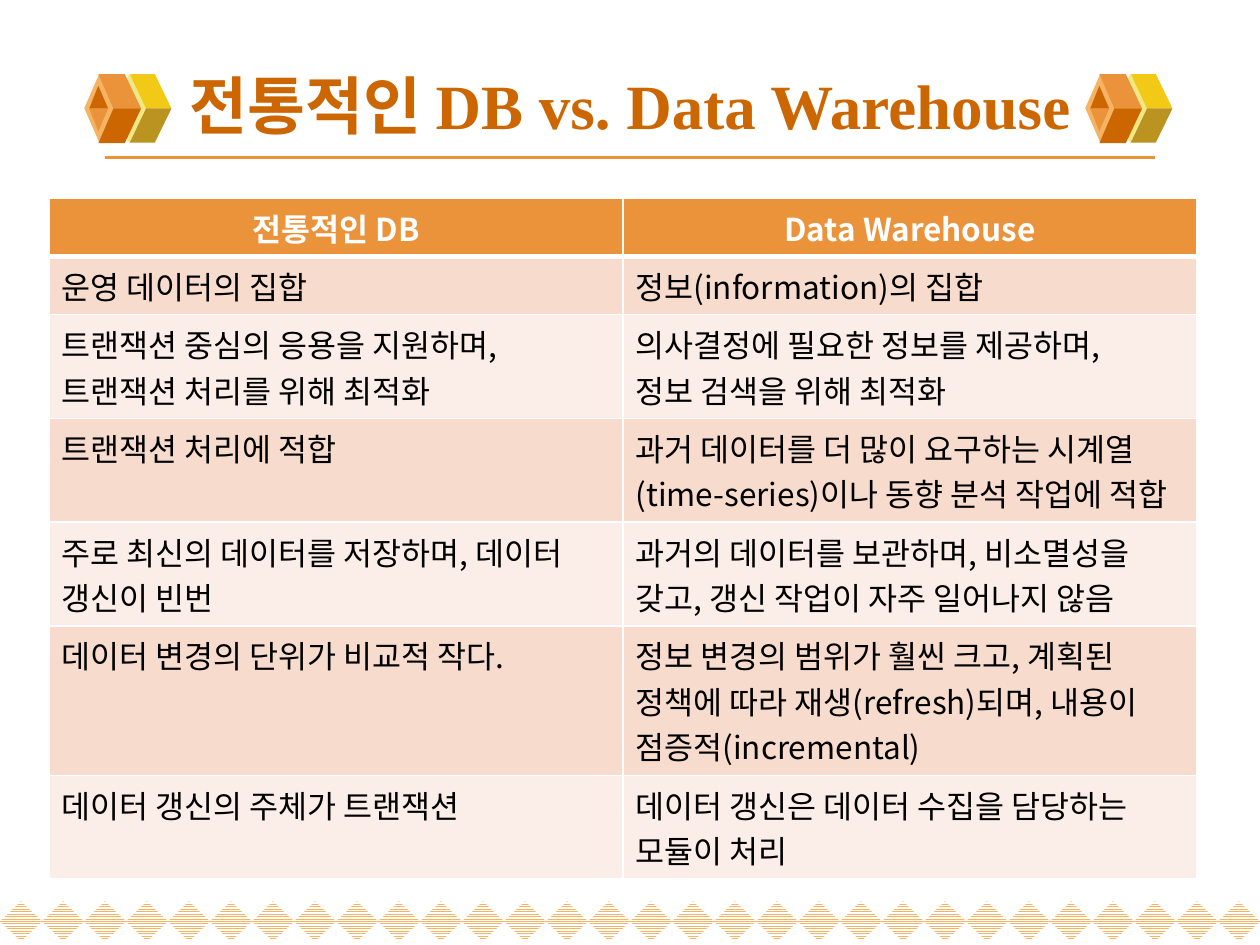
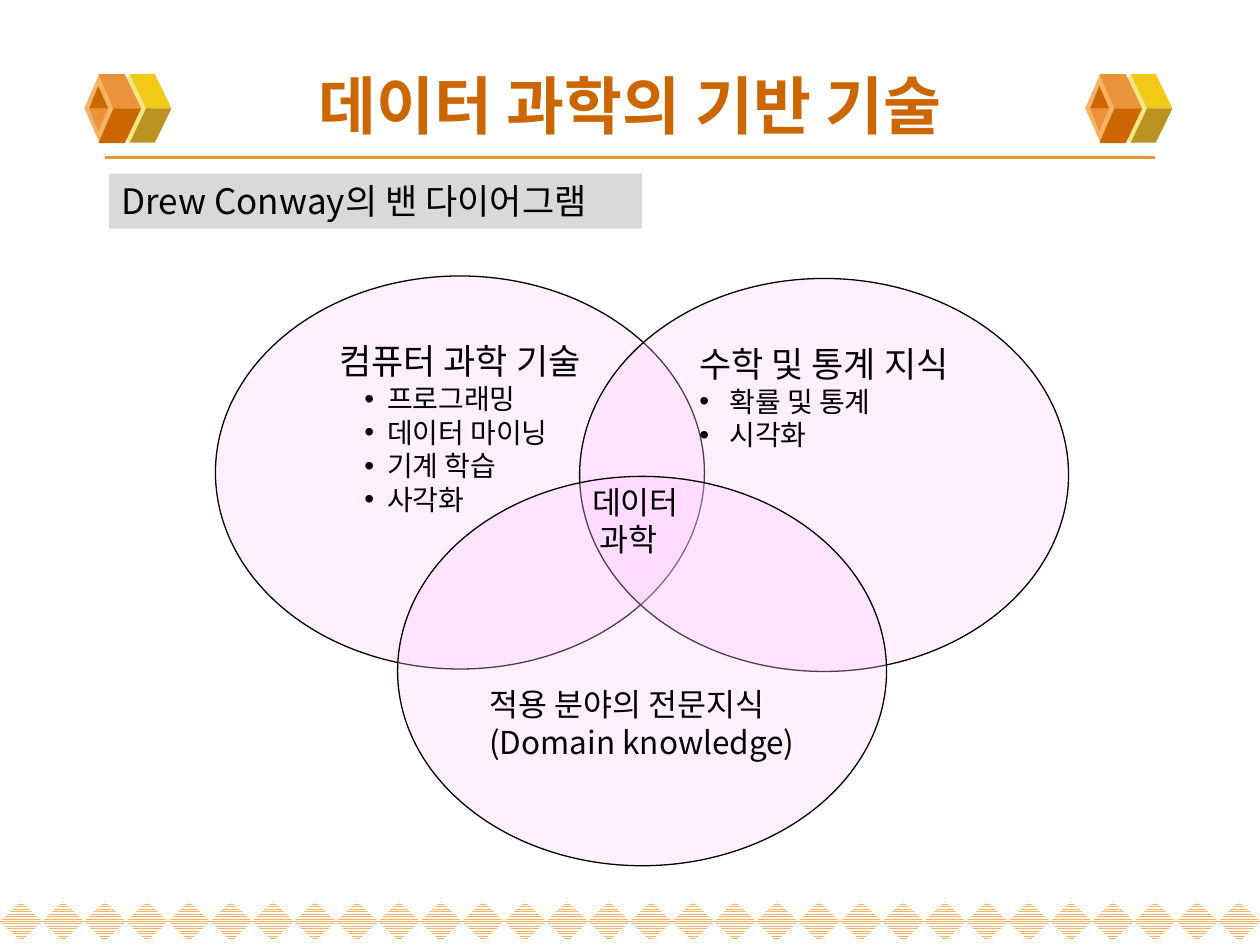
from lxml import etree
from pptx import Presentation
from pptx import util as u
from pptx.dml import color
from pptx.enum import dml, shapes, text
from pptx.oxml import ns

Pt = u.Pt
SANS, SERIF = "Noto Sans CJK KR", "Times New Roman"
ORANGE, DARK, LIGHT, WHITE = "EB933B", "CC6600", "F5B363", "FFFFFF"


def paint(fmt, value):
    fmt.solid()
    fmt.fore_color.rgb = color.RGBColor.from_string(value)


def write(tf, items, align=text.PP_ALIGN.LEFT, **frame):
    for name, value in frame.items():
        setattr(tf, name, value)
    for i, (words, fmt) in enumerate(items):
        p = tf.paragraphs[0] if i == 0 else tf.add_paragraph()
        p.alignment = align
        if "hang" in fmt:
            left, hang = fmt["hang"]
            pPr = p._p.get_or_add_pPr()
            pPr.set("marL", str(Pt(left)))
            pPr.set("indent", str(-Pt(hang)))
            etree.SubElement(pPr, ns.qn("a:buFont")).set("typeface", "Arial")
            etree.SubElement(pPr, ns.qn("a:buChar")).set("char", "•")
        r = p.add_run()
        r.text = words
        values = {"size": Pt(fmt.get("size", 18)), "bold": fmt.get("bold", False),
                  "name": fmt.get("font", SANS)}
        for name, value in values.items():
            setattr(r.font, name, value)
        paint(r.font.fill, fmt.get("color", "000000"))
        rPr = r._r.get_or_add_rPr()
        rPr.set("kern", "0")
        ea = etree.Element(ns.qn("a:ea"))
        ea.set("typeface", SANS)
        rPr.find(ns.qn("a:latin")).addnext(ea)


prs = Presentation()
prs.slide_width, prs.slide_height = Pt(720), Pt(540)

diamonds = [(62, 42.3, 24, 39.5, "F1E785"), (48.2, 42, 17.3, 39.6, LIGHT)]
facets = [
    ([(83.5, 62), (98, 62), (88.5, 42.3), (74.2, 42.3)], "F3C917"),
    ([(83.5, 62), (98, 62), (88.5, 81.5), (74.2, 81.5)], "BB9321"),
    ([(64.8, 62), (80.6, 62), (71.3, 42.3), (56.2, 42.3)], ORANGE),
    ([(64.8, 62), (80.6, 62), (71.3, 81.8), (56.2, 81.8)], DARK),
    ([(56.2, 49), (51, 62), (61.8, 62)], DARK),
    ([(56.2, 75), (51, 62), (61.8, 62)], ORANGE),
]
slides = []
for title in ["전통적인 DB vs. Data Warehouse", "데이터 과학의 기반 기술"]:
    s = prs.slides.add_slide(prs.slide_layouts[6])
    slides.append(s)
    for i in range(30):
        sp = s.shapes.add_shape(shapes.MSO_SHAPE.DIAMOND, Pt(24 * i), Pt(515), Pt(24), Pt(23))
        sp.shadow.inherit = False
        sp.line.fill.background()
        sp.fill.patterned()
        sp.fill.pattern = dml.MSO_PATTERN.NARROW_HORIZONTAL
        sp.fill.fore_color.rgb = color.RGBColor.from_string(LIGHT)
        sp.fill.back_color.rgb = color.RGBColor.from_string(WHITE)
    line = s.shapes.add_connector(shapes.MSO_CONNECTOR.STRAIGHT, Pt(60), Pt(90), Pt(660), Pt(90))
    line.line.width = Pt(2.25)
    paint(line.line.fill, ORANGE)
    etree.SubElement(line._element.spPr, ns.qn("a:effectLst"))
    for dx in (0, 572):
        parts = []
        for x, y, w, h, fill in diamonds:
            sp = s.shapes.add_shape(shapes.MSO_SHAPE.DIAMOND, Pt(x + dx), Pt(y), Pt(w), Pt(h))
            parts.append((sp, fill))
        for points, fill in facets:
            points = [(Pt(x + dx), Pt(y)) for x, y in points]
            fb = s.shapes.build_freeform(*points[0])
            fb.add_line_segments(points[1:])
            parts.append((fb.convert_to_shape(), fill))
        for sp, fill in parts:
            sp.shadow.inherit = False
            sp.line.fill.background()
            paint(sp.fill, fill)
    tb = s.shapes.add_textbox(Pt(36), Pt(32.4), Pt(648), Pt(54.7))
    write(tb.text_frame, [(title, {"size": 36, "bold": True, "font": SERIF, "color": DARK})],
          align=text.PP_ALIGN.CENTER, word_wrap=True, vertical_anchor=text.MSO_ANCHOR.MIDDLE)

rows = [
    (1, "전통적인 DB", "Data Warehouse"),
    (1, "운영 데이터의 집합", "정보(information)의 집합"),
    (2, "트랜잭션 중심의 응용을 지원하며,\n트랜잭션 처리를 위해 최적화",
     "의사결정에 필요한 정보를 제공하며,\n정보 검색을 위해 최적화"),
    (2, "트랜잭션 처리에 적합",
     "과거 데이터를 더 많이 요구하는 시계열(time-series)이나 동향 분석 작업에 적합"),
    (2, "주로 최신의 데이터를 저장하며, 데이터 갱신이 빈번",
     "과거의 데이터를 보관하며, 비소멸성을 갖고, 갱신 작업이 자주 일어나지 않음"),
    (3, "데이터 변경의 단위가 비교적 작다.",
     "정보 변경의 범위가 훨씬 크고, 계획된 정책에 따라 재생(refresh)되며, 내용이 점증적(incremental)"),
    (2, "데이터 갱신의 주체가 트랜잭션", "데이터 갱신은 데이터 수집을 담당하는 모듈이 처리"),
]
table = slides[0].shapes.add_table(len(rows), 2, Pt(28), Pt(113.4), Pt(656), Pt(389)).table
for i, (lines, *row) in enumerate(rows):
    table.rows[i].height = Pt(7.2 + 26.05 * lines)
    for j, words in enumerate(row):
        cell = table.cell(i, j)
        head = i == 0
        paint(cell.fill, ORANGE if head else ("FBEEE8", "F7DCCE")[i % 2])
        fmt = {"bold": head, "color": WHITE if head else "000000"}
        write(cell.text_frame, [(part, fmt) for part in words.split("\n")],
              align=text.PP_ALIGN.CENTER if head else text.PP_ALIGN.LEFT)
        for k, side in enumerate(["lnL", "lnR", "lnT", "lnB"]):
            thick = (head and side == "lnB") or (i == 1 and side == "lnT")
            ln = etree.Element(ns.qn("a:" + side))
            ln.set("w", str(Pt(3 if thick else 1)))
            fill = etree.SubElement(ln, ns.qn("a:solidFill"))
            etree.SubElement(fill, ns.qn("a:srgbClr")).set("val", WHITE)
            cell._tc.get_or_add_tcPr().insert(k, ln)

s = slides[1]
top, bottom = text.MSO_ANCHOR.TOP, text.MSO_ANCHOR.BOTTOM
skill = {"size": 16, "hang": (27.4, 13)}
topic = {"size": 16, "hang": (13.7, 13.7)}
circles = [
    (123.1, 157.7, 224.6, top, 3.6,
     [("컴퓨터 과학 기술", {"size": 20}), ("프로그래밍", skill), ("데이터 마이닝", skill),
      ("기계 학습", skill), ("사각화", skill)]),
    (331.2, 159.1, 224.6, top, 3.6,
     [("수학 및 통계 지식", {"size": 20}), (" 확률 및 통계", topic), (" 시각화", topic)]),
    (227.2, 272.2, 222.5, bottom, 27.6,
     [("적용 분야의 전문지식", {}), ("(Domain knowledge)", {})]),
]
for x, y, h, anchor, inset, items in circles:
    sp = s.shapes.add_shape(shapes.MSO_SHAPE.OVAL, Pt(x), Pt(y), Pt(279.4), Pt(h))
    sp.shadow.inherit = False
    paint(sp.fill, "FFCCFF")
    tint = sp._element.spPr.find(ns.qn("a:solidFill"))[0]
    etree.SubElement(tint, ns.qn("a:alpha")).set("val", "30000")
    paint(sp.line.fill, "000000")
    sp.line.width = Pt(0.75)
    write(sp.text_frame, items, word_wrap=False, vertical_anchor=anchor,
          margin_bottom=Pt(inset))
    sp._element.txBody.find(ns.qn("a:bodyPr")).set("anchorCtr", "1")

tb = s.shapes.add_textbox(Pt(331.2), Pt(272.2), Pt(70.6), Pt(51))
write(tb.text_frame, [("데이터", {}), (" 과학", {})], word_wrap=True)

sp = s.shapes.add_shape(shapes.MSO_SHAPE.RECTANGLE, Pt(62.4), Pt(99.2), Pt(304.6), Pt(31.5))
sp.shadow.inherit = False
sp.line.fill.background()
paint(sp.fill, "D9D9D9")
write(sp.text_frame, [("Drew Conway의 밴 다이어그램", {"size": 20})],
      word_wrap=True, vertical_anchor=top)

prs.save("out.pptx")
